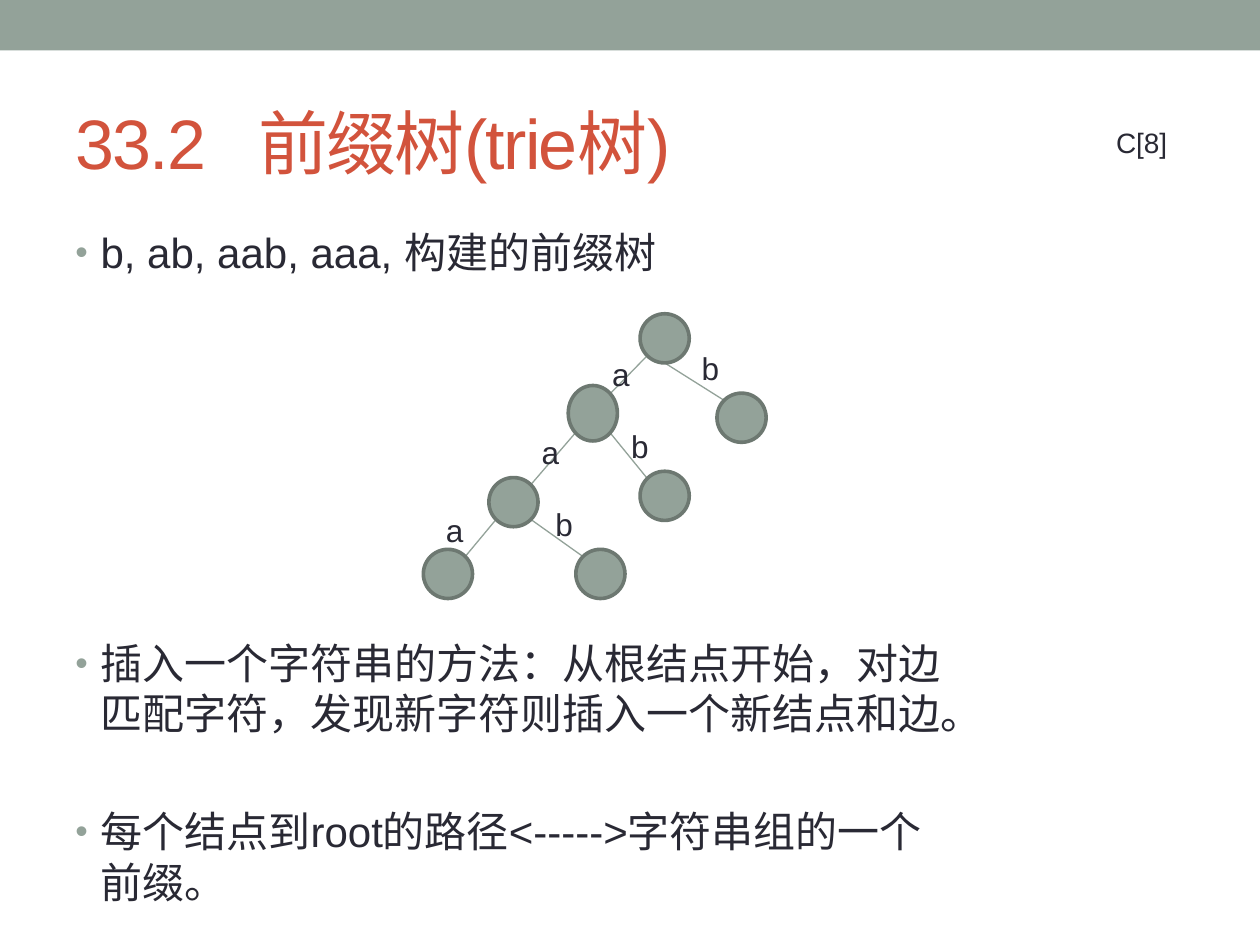
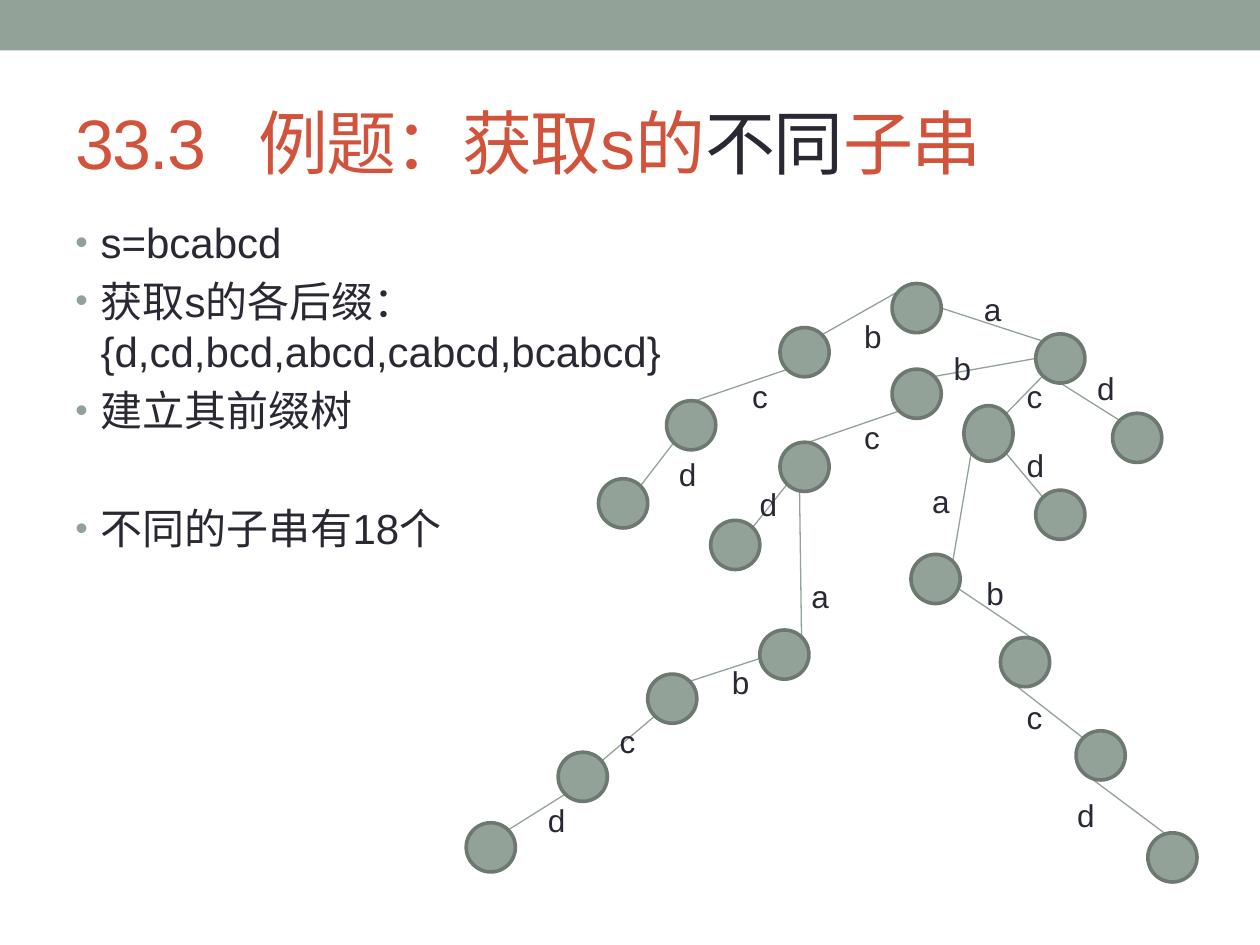
from lxml import etree
from pptx import Presentation
from pptx.dml.color import RGBColor
from pptx.enum.shapes import MSO_CONNECTOR, MSO_SHAPE
from pptx.enum.text import MSO_ANCHOR
from pptx.oxml.ns import qn
from pptx.util import Inches, Pt

FONT = "Arial"
SAGE, SAGE_DARK, RED, INK, WHITE = "93A299", "6D7871", "D2533C", "292934", "FFFFFF"

CELL = 0.1          # grid cell in inches: the slide is 100 columns by 75 rows
NODE = 3.9          # node diameter in cells
TALL_NODE = 4.4
LINE_GAP = 4.8      # points between neighbouring bullets
SKIPPED_LINE = 38.6  # points before a bullet that follows an open line

# Points on a node's outline, as shares of its width and height
TL, TR, BL, BR = (0.15, 0.15), (0.85, 0.15), (0.15, 0.85), (0.85, 0.85)
LEFT, RIGHT, BOTTOM = (0, 0.5), (1, 0.5), (0.5, 1)

# path of letters: node position, edge start on parent, edge end on node, label position
SMALL_TRIE = {
    "": ((17.2, 0),),
    "a": ((11.5, 5.7), BL, TR, (14, 2.8)),
    "b": ((23.3, 6.3), BOTTOM, TL, (21.1, 2.3)),
    "aa": ((5.2, 13), BL, TR, (8.4, 9)),
    "ab": ((17.2, 12.5), BR, TL, (15.5, 8.5)),
    "aaa": ((0, 18.7), BL, TR, (0.8, 15.2)),
    "aab": ((12.1, 18.7), BR, TL, (9.5, 14.7)),
}
SUFFIX_TRIE = {
    "": ((33.8, 0),),
    "b": ((24.9, 3.5), TL, TR, (30.6, 2.2)),
    "bc": ((15.9, 9.3), BL, TL, (21.7, 6.9)),
    "bcd": ((10.5, 15.5), BL, TR, (15.9, 13.1)),
    "a": ((45.2, 4), RIGHT, TL, (40.1, 0)),
    "ab": ((33.8, 6.8), LEFT, TR, (37.7, 4.7)),
    "abc": ((24.9, 12.6), BL, TL, (30.6, 10.2)),
    "abcd": ((19.4, 18.8), BL, TR, (22.3, 15.5)),
    "abca": ((23.3, 27.5), (0.4, 1), TR, (26.4, 22.8)),
    "abcab": ((14.4, 31), (0.4, 0.45), TR, (20.1, 29.6)),
    "abcabc": ((7.3, 37.2), BL, (0.67, 0.36), (11.2, 34.3)),
    "abcabcd": ((0, 42.8), BL, TR, (5.5, 40.6)),
    "ac": ((39.5, 9.7), BL, TR, (43.5, 6.9)),
    "ad": ((51.3, 10.3), BOTTOM, TL, (49.1, 6.3)),
    "acd": ((45.2, 16.4), BR, TL, (43.5, 12.4)),
    "aca": ((35.3, 21.5), BL, TR, (36, 15.3)),
    "acab": ((42.4, 28.1), TL, TR, (40.3, 22.6)),
    "acabc": ((48.4, 35.5), BL, TL, (43.5, 32.4)),
    "acabcd": ((54.1, 43.6), BL, RIGHT, (47.5, 40.2)),
}


def cells(*lengths):
    return [Inches(length * CELL) for length in lengths]


def rgb(color):
    return RGBColor.from_string(color)


def style_runs(paragraph, size, color):
    for run in paragraph.runs:
        run.font.name = FONT
        run.font.size = Pt(size)
        run.font.color.rgb = rgb(color)


def add_filled(slide, preset, box, fill, outline=None):
    shape = slide.shapes.add_shape(preset, *cells(*box))
    shape.shadow.inherit = False
    shape.fill.solid()
    shape.fill.fore_color.rgb = rgb(fill)
    if outline:
        shape.line.color.rgb = rgb(outline)
        shape.line.width = Pt(2.08)
    else:
        shape.line.fill.background()
    return shape


def add_text(slide, box, text, size, color=INK, wrap=False):
    frame = slide.shapes.add_textbox(*cells(*box)).text_frame
    frame.word_wrap = wrap
    frame.text = text
    for paragraph in frame.paragraphs:
        style_runs(paragraph, size, color)
    return frame


def add_heading(slide, number, parts):
    """Top band and title; parts are (text, colour) pairs after the number."""
    add_filled(slide, MSO_SHAPE.RECTANGLE, (0, 0, 100, 4), SAGE)
    frame = add_text(slide, (5, 5.8, 90, 10.8), number + "\t", 40, RED, wrap=True)
    frame.vertical_anchor = MSO_ANCHOR.MIDDLE
    title = frame.paragraphs[0]
    tabs = etree.SubElement(title._p.get_or_add_pPr(), qn("a:tabLst"))
    etree.SubElement(tabs, qn("a:tab"), pos=str(Inches(1.45)), algn="l")
    for text, color in parts:
        run = title.add_run()
        run.text = text
        run.font.color.rgb = rgb(color)
    for run in title.runs:
        run.font.name = FONT
        run.font.size = Pt(40)
        run._r.get_or_add_rPr().set("spc", "-100")


def add_bullets(slide, box, points):
    """Points are (text, space before in points) pairs."""
    frame = add_text(slide, box, "\n".join(text for text, _ in points), 24, wrap=True)
    for paragraph, (_, gap) in zip(frame.paragraphs, points):
        props = paragraph._p.get_or_add_pPr()
        props.set("marL", str(Inches(0.2)))
        props.set("indent", str(-Inches(0.2)))
        bullet_color = etree.SubElement(props, qn("a:buClr"))
        etree.SubElement(bullet_color, qn("a:srgbClr"), val=SAGE)
        etree.SubElement(props, qn("a:buSzPct"), val="85000")
        etree.SubElement(props, qn("a:buFont"), typeface=FONT)
        etree.SubElement(props, qn("a:buChar"), char="•")
        if gap:
            paragraph.space_before = Pt(gap)


def add_edge(slide, start, end):
    edge = slide.shapes.add_connector(MSO_CONNECTOR.STRAIGHT, *cells(*start, *end))
    edge.line.color.rgb = rgb(SAGE)
    edge.line.width = Pt(0.75)
    etree.SubElement(edge._element.spPr, qn("a:effectLst"))


def add_trie(slide, left, top, trie, tall_path):
    """Draw edges, then nodes, then letters, from the trie's top left corner."""
    boxes = {path: (left + x, top + y, NODE, TALL_NODE if path == tall_path else NODE)
             for path, ((x, y), *_) in trie.items()}

    def outline_point(path, share):
        x, y, width, height = boxes[path]
        return x + share[0] * width, y + share[1] * height

    branches = {path: parts[1:] for path, parts in trie.items() if path}
    for path, (start, end, _) in branches.items():
        add_edge(slide, outline_point(path[:-1], start), outline_point(path, end))
    for box in boxes.values():
        add_filled(slide, MSO_SHAPE.OVAL, box, SAGE, SAGE_DARK)
    for path, (_, _, (x, y)) in branches.items():
        add_text(slide, (left + x, top + y, 3.2, 4), path[-1], 18)


def build_trie_slide(slide):
    add_heading(slide, "33.2", [("前缀树(trie树)", RED)])
    add_bullets(slide, (5, 17.5, 71.5, 53.3), [
        ("b, ab, aab, aaa, 构建的前缀树", 0),
        ("插入一个字符串的方法：从根结点开始，对边匹配字符，发现新字符则插入一个新结点和边。", 206),
        ("每个结点到root的路径<----->字符串组的一个前缀。", SKIPPED_LINE),
    ])
    add_text(slide, (87.6, 9.5, 7.4, 3.7), "C[8]", 16)
    add_trie(slide, 33.6, 24.9, SMALL_TRIE, tall_path="a")


def build_substring_slide(slide):
    add_heading(slide, "33.3", [("例题：获取s的", RED), ("不同", INK), ("子串", RED)])
    add_bullets(slide, (5, 16.7, 71.5, 53.3), [
        ("s=bcabcd", 0),
        ("获取s的各后缀：{d,cd,bcd,abcd,cabcd,bcabcd}", LINE_GAP),
        ("建立其前缀树", LINE_GAP),
        ("不同的子串有18个", SKIPPED_LINE),
    ])
    add_trie(slide, 37, 22.5, SUFFIX_TRIE, tall_path="ac")


def main():
    deck = Presentation()
    deck.slide_width, deck.slide_height = cells(100, 75)
    blank = deck.slide_layouts[6]
    for build in (build_trie_slide, build_substring_slide):
        build(deck.slides.add_slide(blank))
    deck.save("out.pptx")


if __name__ == "__main__":
    main()
